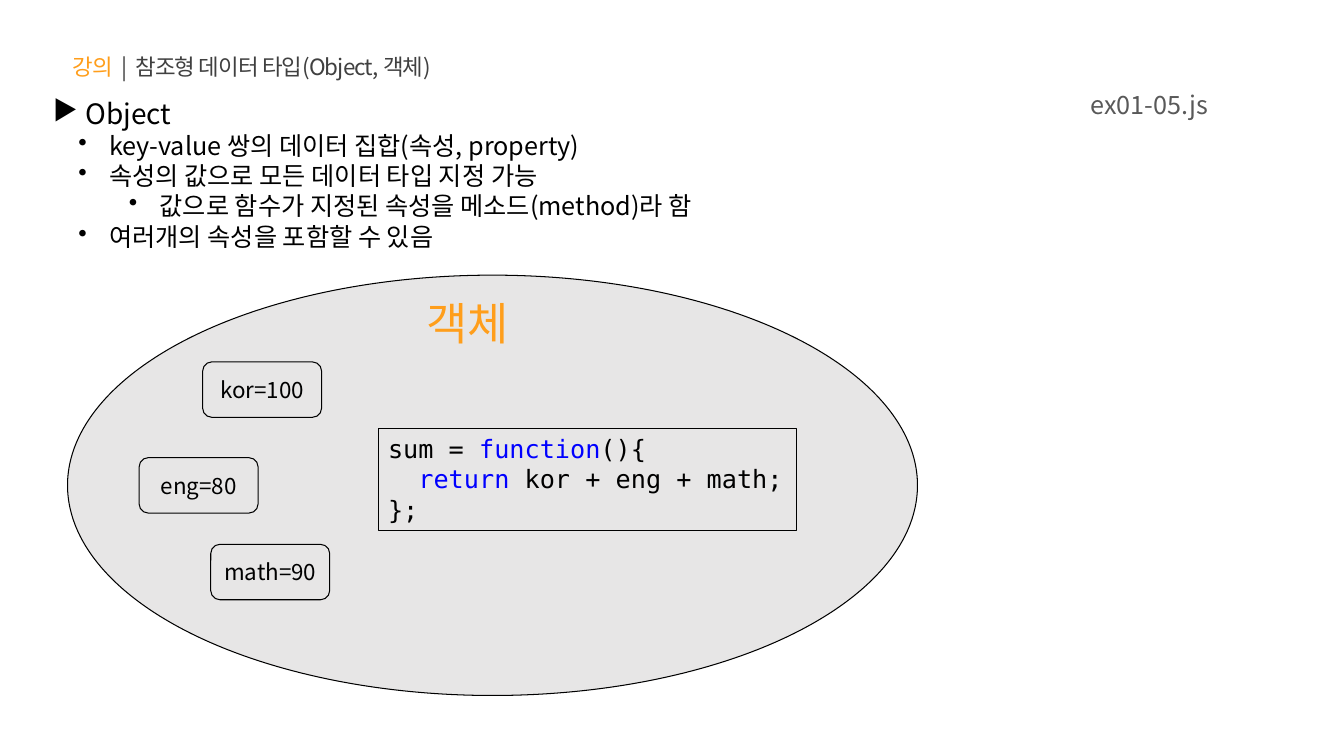
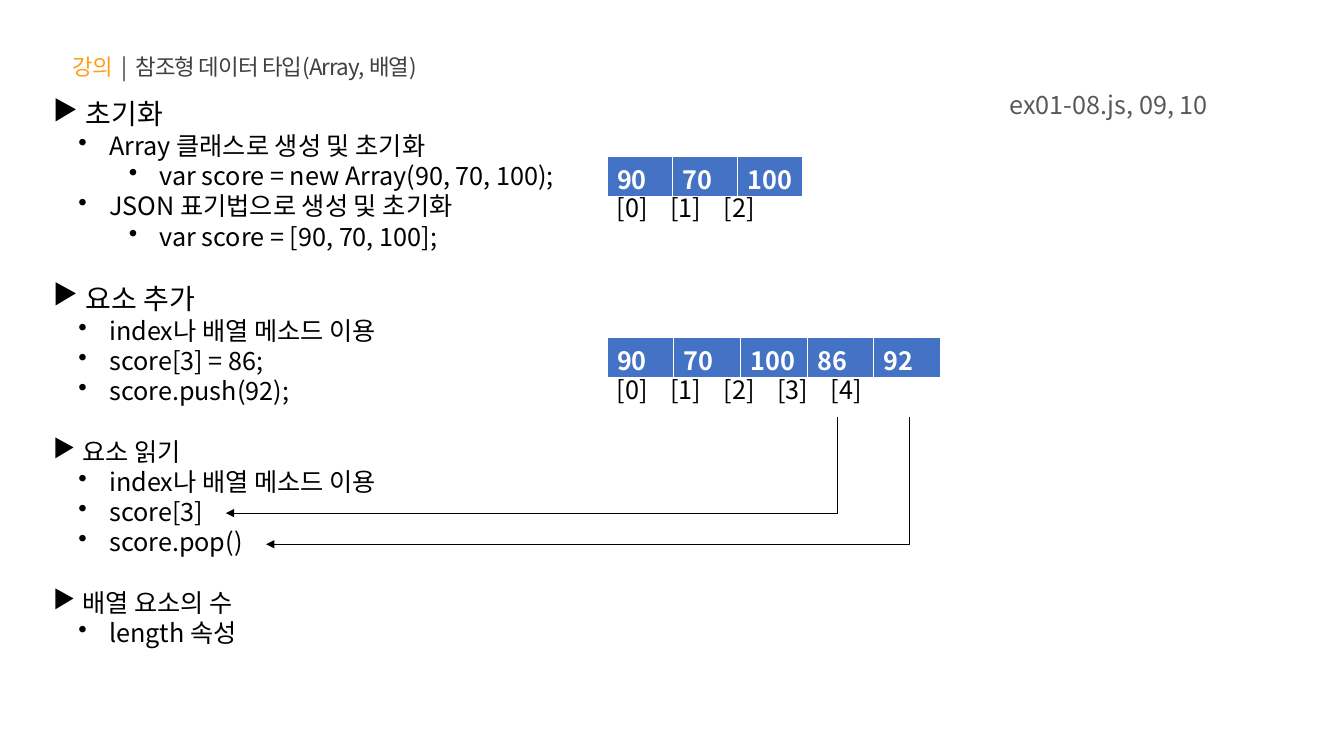
from pptx import Presentation
from pptx.dml.color import RGBColor
from pptx.enum.shapes import MSO_CONNECTOR, MSO_SHAPE
from pptx.enum.text import MSO_ANCHOR, PP_ALIGN
from pptx.oxml.ns import qn
from pptx.util import Inches, Pt
from lxml import etree

ELBOW = MSO_CONNECTOR.ELBOW
OVAL = MSO_SHAPE.OVAL
RECT = MSO_SHAPE.RECTANGLE
ROUND = MSO_SHAPE.ROUNDED_RECTANGLE
TOP, MIDDLE = MSO_ANCHOR.TOP, MSO_ANCHOR.MIDDLE
LEFT, CENTER, RIGHT = PP_ALIGN.LEFT, PP_ALIGN.CENTER, PP_ALIGN.RIGHT
SANS, MONO = "Noto Sans CJK KR", "DejaVu Sans Mono"
BLACK, WHITE = "000000", "FFFFFF"
ORANGE, DARK, GRAY = "FF9E1B", "404040", "595959"
PALE, BLUE, CODE = "E7E6E6", "4472C4", "0000FF"
LEADING = 1.2
TAB = 0.53


def color(value):
    return RGBColor.from_string(value)


def style(para, size, tone=BLACK, face=SANS, align=LEFT, bold=False):
    para.alignment = align
    para.line_spacing = Pt(size * LEADING)
    font = para.font
    font.size, font.name, font.bold = Pt(size), face, bold
    font.color.rgb = color(tone)
    base = para._p.pPr.find(qn("a:defRPr"))
    etree.SubElement(base, qn("a:ea")).set("typeface", face)
    return base


def add_runs(para, parts):
    for words, tone in parts:
        run = para.add_run()
        run.text = words
        run.font.color.rgb = color(tone)


def add_text(slide, box, words, size, tone=BLACK, align=LEFT, wrap=True):
    frame = slide.shapes.add_textbox(*map(Inches, box)).text_frame
    frame.word_wrap = wrap
    para = frame.paragraphs[0]
    para.text = words
    return para, style(para, size, tone, align=align)


def add_shape(slide, kind, box, fill=None):
    shape = slide.shapes.add_shape(kind, *map(Inches, box))
    shape.shadow.inherit = False
    if fill:
        shape.fill.solid()
        shape.fill.fore_color.rgb = color(fill)
    else:
        shape.fill.background()
    shape.line.color.rgb = color(BLACK)
    shape.line.width = Pt(0.75)
    return shape


def add_head(slide, topic, source):
    para, _ = add_text(slide, (0.62, 0.48, 5.15, 0.37), "", 16)
    add_runs(para, [("강의  ", ORANGE), ("|  참조형 데이터 타입" + topic, DARK)])
    for run in para.runs:
        run._r.get_or_add_rPr().set("spc", "-60")
    add_text(slide, (9.5, 0.84, 2.58, 0.4), source, 18, GRAY, RIGHT)


def add_list(slide, height, items):
    box = map(Inches, (0.43, 0.91, 9.14, height))
    frame = slide.shapes.add_textbox(*box).text_frame
    frame.word_wrap = True
    for index, (level, size, words) in enumerate(items):
        para = frame.add_paragraph() if index else frame.paragraphs[0]
        para.text = " " + words
        para.level = level
        base = style(para, size)
        if index and not level:
            para.space_before = Pt(18 * LEADING)
        props = para._p.pPr
        props.set("marL", str(Inches(0.5 * level)))
        props.set("indent", str(Inches(-0.25 if level else 0)))
        mark = etree.Element(qn("a:buChar"))
        mark.set("char", "•" if level else "▶")
        base.addprevious(mark)


def add_field(slide, left, top, words):
    shape = add_shape(slide, ROUND, (left, top, 1.18, 0.55))
    frame = shape.text_frame
    frame.word_wrap = False
    frame.vertical_anchor = MIDDLE
    para = frame.paragraphs[0]
    para.text = words
    style(para, 16, align=CENTER)


def add_code(slide, box, lines):
    frame = add_shape(slide, RECT, box).text_frame
    frame.word_wrap = True
    frame.vertical_anchor = TOP
    for index, parts in enumerate(lines):
        para = frame.add_paragraph() if index else frame.paragraphs[0]
        style(para, 18, face=MONO)
        add_runs(para, parts)


def add_array(slide, top, width, values):
    count = len(values)
    box = map(Inches, (6.02, top, width, 0.4))
    table = slide.shapes.add_table(1, count, *box).table
    for index, value in enumerate(values):
        table.columns[index].width = Inches(width / count)
        cell = table.cell(0, index)
        cell.fill.solid()
        cell.fill.fore_color.rgb = color(BLUE)
        cell.margin_top, cell.margin_bottom = Inches(0.1), 0
        para = cell.text_frame.paragraphs[0]
        para.text = str(value)
        style(para, 18, WHITE, bold=True)
    words = "\t".join(f"[{index}]" for index in range(count))
    _, base = add_text(slide, (6.02, top + 0.31, 3.31, 0.4), words, 18)
    tabs = etree.Element(qn("a:tabLst"))
    for index in range(1, count):
        stop = etree.SubElement(tabs, qn("a:tab"))
        stop.set("pos", str(Inches(TAB * index)))
        stop.set("algn", "l")
    base.addprevious(tabs)


def add_arrow(slide, *ends):
    arrow = slide.shapes.add_connector(ELBOW, *map(Inches, ends))
    arrow.line.color.rgb = color(BLACK)
    arrow.line.width = Pt(0.75)
    props = arrow._element.spPr
    geom = props.find(qn("a:prstGeom"))
    guide = etree.SubElement(geom.find(qn("a:avLst")), qn("a:gd"))
    guide.set("name", "adj1")
    guide.set("fmla", "val 0")
    tail = etree.SubElement(props.find(qn("a:ln")), qn("a:tailEnd"))
    tail.set("type", "triangle")
    etree.SubElement(props, qn("a:effectLst"))


def draw_object(slide):
    add_head(slide, "(Object, 객체)", "ex01-05.js")
    add_list(slide, 1.95, [
        (0, 20, "Object"),
        (1, 18, "key-value 쌍의 데이터 집합(속성, property)"),
        (1, 18, "속성의 값으로 모든 데이터 타입 지정 가능"),
        (2, 18, "값으로 함수가 지정된 속성을 메소드(method)라 함"),
        (1, 18, "여러개의 속성을 포함할 수 있음"),
    ])
    add_shape(slide, OVAL, (0.67, 2.73, 8.43, 4.17), PALE)
    add_field(slide, 2.01, 3.59, "kor=100")
    add_field(slide, 1.38, 4.54, "eng=80")
    add_field(slide, 2.09, 5.4, "math=90")
    add_text(slide, (4.13, 2.88, 1.03, 0.64), "객체", 32, ORANGE, wrap=False)
    add_code(slide, (3.75, 4.25, 4.15, 1.01), [
        [("sum = ", BLACK), ("function", CODE), ("(){", BLACK)],
        [("\u00a0 ", BLACK), ("return", CODE), (" kor + eng + math;", BLACK)],
        [("};", BLACK)],
    ])


def draw_array(slide):
    add_head(slide, "(Array, 배열)", "ex01-08.js, 09, 10")
    add_list(slide, 5.92, [
        (0, 20, "초기화"),
        (1, 18, "Array 클래스로 생성 및 초기화"),
        (2, 18, "var score = new Array(90, 70, 100);"),
        (1, 18, "JSON 표기법으로 생성 및 초기화"),
        (2, 18, "var score = [90, 70, 100];"),
        (0, 20, "요소 추가"),
        (1, 18, "index나 배열 메소드 이용"),
        (1, 18, "score[3] = 86;"),
        (1, 18, "score.push(92);"),
        (0, 18, "요소 읽기"),
        (1, 18, "index나 배열 메소드 이용"),
        (1, 18, "score[3]"),
        (1, 18, "score.pop()"),
        (0, 18, "배열 요소의 수"),
        (1, 18, "length 속성"),
    ])
    add_array(slide, 1.55, 1.94, [90, 70, 100])
    add_array(slide, 3.35, 3.31, [90, 70, 100, 86, 92])
    add_arrow(slide, 8.31, 4.14, 2.24, 5.09)
    add_arrow(slide, 9.02, 4.14, 2.64, 5.4)


def main():
    deck = Presentation()
    deck.slide_width, deck.slide_height = Inches(13.33), Inches(7.5)
    for draw in (draw_object, draw_array):
        draw(deck.slides.add_slide(deck.slide_layouts[6]))
    deck.save("out.pptx")


main()
